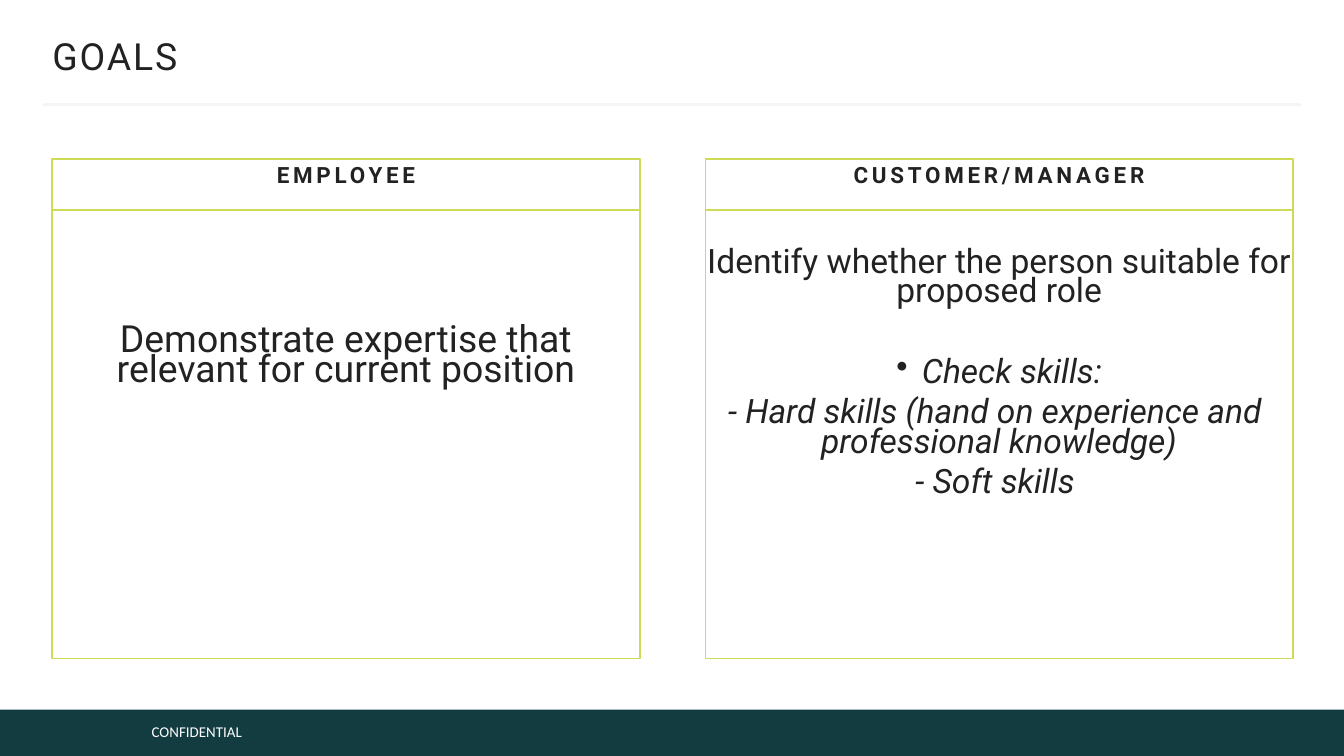
"""Build the Goals slide: two headed panels comparing employee and customer aims."""
import pptx
import pptx.dml.color
import pptx.enum.shapes
import pptx.enum.text
import pptx.oxml
import pptx.oxml.ns
import pptx.util
from pptx.util import Inches

COLORS = {"ink": "222222", "white": "FFFFFF", "accent": "CEDB56", "rule": "F5F5F5", "footer": "133C41"}
TITLE = "GOALS"
FOOTER = "CONFIDENTIAL"
PANELS = [
    {
        "heading": "EMPLOYEE", "size": 20, "top_inset": 0.9,
        "lines": [("Demonstrate expertise that relevant for current position", {})],
    },
    {
        "heading": "CUSTOMER/MANAGER", "size": 18, "top_inset": 0.3,
        "lines": [
            ("Identify whether the person suitable for proposed role", {"after": 24.6}),
            ("Check skills:", {"italic": True, "bullet": "•"}),
            ("- Hard skills (hand on experience and  professional knowledge)", {"italic": True}),
            ("- Soft skills ", {"italic": True}),
        ],
    },
]
LEFT, PANEL_WIDTH, PANEL_STEP = 0.39, 4.37, 4.86
HEADING_TOP, HEADING_HEIGHT, BODY_HEIGHT = 1.18, 0.38, 3.34


def color(name):
    return pptx.dml.color.RGBColor.from_string(COLORS[name])


def write(paragraph, text, size, font="Roboto", ink="ink", bold=False, italic=False,
          tracking=0, centered=True, line=16, before=2.6, after=3, bullet=None):
    run = paragraph.add_run()
    run.text = text
    run.font.size = pptx.util.Pt(size)
    run.font.name = font
    run.font.bold = bold
    run.font.italic = italic
    run.font.color.rgb = color(ink)
    if tracking:
        run.font._element.set("spc", str(tracking * 100))
    alignment = pptx.enum.text.PP_ALIGN
    paragraph.alignment = alignment.CENTER if centered else alignment.LEFT
    if line:
        paragraph.line_spacing = pptx.util.Pt(line)
        paragraph.space_before = pptx.util.Pt(before)
        paragraph.space_after = pptx.util.Pt(after)
    if bullet:
        properties = paragraph._p.get_or_add_pPr()
        properties.set("marL", str(Inches(0.19)))
        properties.set("indent", str(-Inches(0.19)))
        mark = pptx.oxml.parse_xml(f'<a:buChar {pptx.oxml.ns.nsdecls("a")} char="{bullet}"/>')
        properties.append(mark)


def set_frame(frame, left=0, top=0, right=0, bottom=0, wrap=True, anchor="TOP"):
    frame.margin_left, frame.margin_top = Inches(left), Inches(top)
    frame.margin_right, frame.margin_bottom = Inches(right), Inches(bottom)
    frame.word_wrap = wrap
    frame.vertical_anchor = pptx.enum.text.MSO_ANCHOR[anchor]


def add_box(slide, left, top, width, height, fill, outline=None):
    shape = slide.shapes.add_shape(pptx.enum.shapes.MSO_SHAPE.RECTANGLE,
                                   Inches(left), Inches(top), Inches(width), Inches(height))
    shape.shadow.inherit = False
    shape.fill.solid()
    shape.fill.fore_color.rgb = color(fill)
    if outline:
        shape.line.color.rgb = color(outline)
        shape.line.width = pptx.util.Pt(1)
    else:
        shape.line.fill.background()
    return shape


def add_label(slide, left, top, width, height):
    return slide.shapes.add_textbox(Inches(left), Inches(top), Inches(width), Inches(height)).text_frame


def add_rule(slide, start, end, top):
    connector = slide.shapes.add_connector(pptx.enum.shapes.MSO_CONNECTOR.STRAIGHT,
                                           Inches(start), Inches(top), Inches(end), Inches(top))
    connector.line.color.rgb = color("rule")
    connector.line.width = pptx.util.Pt(1.5)
    effects = pptx.oxml.parse_xml(f'<a:effectLst {pptx.oxml.ns.nsdecls("a")}/>')
    connector._element.spPr.append(effects)


def add_panel(slide, left, panel):
    body = add_box(slide, left, HEADING_TOP + HEADING_HEIGHT, PANEL_WIDTH, BODY_HEIGHT, "white", "accent")
    frame = body.text_frame
    set_frame(frame, top=panel["top_inset"])
    for index, (text, options) in enumerate(panel["lines"]):
        paragraph = frame.add_paragraph() if index else frame.paragraphs[0]
        write(paragraph, text, panel["size"], **options)
    heading = add_box(slide, left, HEADING_TOP, PANEL_WIDTH, HEADING_HEIGHT, "white", "accent")
    set_frame(heading.text_frame, wrap=False)
    write(heading.text_frame.paragraphs[0], panel["heading"], 12, bold=True, tracking=2, before=2.9)


def main():
    presentation = pptx.Presentation()
    presentation.slide_width = Inches(10)
    presentation.slide_height = presentation.slide_width * 9 // 16
    slide = presentation.slides.add_slide(presentation.slide_layouts[6])

    add_box(slide, 0, 5.28, 10, 0.35, "footer")
    footer = add_label(slide, 1.03, 5.33, 2.65, 0.24)
    set_frame(footer, 0.1, 0.05, 0.1, 0.05)
    write(footer.paragraphs[0], FOOTER, 8, font="Calibri", ink="white", centered=False, line=None)

    add_rule(slide, 0.32, 9.68, 0.78)
    title = add_label(slide, LEFT, 0.25, 9.22, 0.33)
    set_frame(title, top=0.05, bottom=0.05, wrap=False, anchor="MIDDLE")
    write(title.paragraphs[0], TITLE, 20, tracking=1, centered=False, line=None)

    for index, panel in enumerate(PANELS):
        add_panel(slide, LEFT + index * PANEL_STEP, panel)
    presentation.save("out.pptx")


if __name__ == "__main__":
    main()
